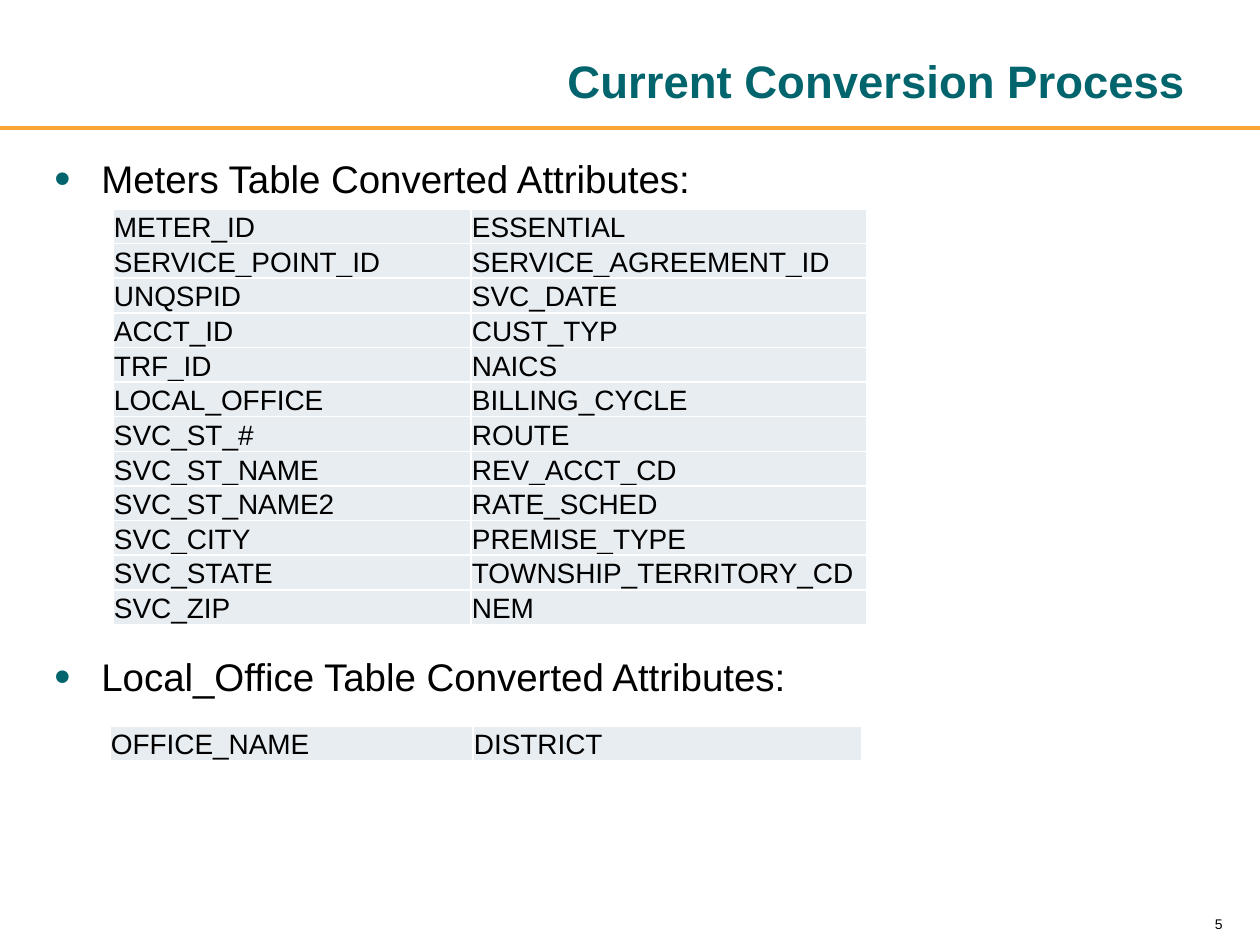
import pptx
import pptx.dml.color
import pptx.enum.shapes
import pptx.enum.text
import pptx.oxml
import pptx.oxml.ns
import pptx.util

PIXEL = 914400 / 126
COLORS = {"teal": "02646C", "orange": "FAA534", "cell": "E7EDF1",
          "white": "FFFFFF", "black": "000000"}
FONT = "Arial"
ANCHOR = pptx.enum.text.MSO_ANCHOR
ALIGN = pptx.enum.text.PP_ALIGN

METER_ATTRIBUTES = [
    ("METER_ID", "ESSENTIAL"),
    ("SERVICE_POINT_ID", "SERVICE_AGREEMENT_ID"),
    ("UNQSPID", "SVC_DATE"),
    ("ACCT_ID", "CUST_TYP"),
    ("TRF_ID", "NAICS"),
    ("LOCAL_OFFICE", "BILLING_CYCLE"),
    ("SVC_ST_#", "ROUTE"),
    ("SVC_ST_NAME", "REV_ACCT_CD"),
    ("SVC_ST_NAME2", "RATE_SCHED"),
    ("SVC_CITY", "PREMISE_TYPE"),
    ("SVC_STATE", "TOWNSHIP_TERRITORY_CD"),
    ("SVC_ZIP", "NEM"),
]
OFFICE_ATTRIBUTES = [("OFFICE_NAME", "DISTRICT")]


def px(length):
    return pptx.util.Emu(round(length * PIXEL))


def rgb(name):
    return pptx.dml.color.RGBColor.from_string(COLORS[name])


def xml(text):
    return pptx.oxml.parse_xml(text.replace(
        " ", f' {pptx.oxml.ns.nsdecls("a")} ', 1))


def add_run(paragraph, text, size, color="black", bold=False):
    run = paragraph.add_run()
    run.text = text
    run.font.name = FONT
    run.font.size = pptx.util.Pt(size)
    run.font.bold = bold
    run.font.color.rgb = rgb(color)


def add_title(slide, left, top, width, height, text):
    title = slide.shapes.title
    title.left, title.top, title.width, title.height = map(
        px, (left, top, width, height))
    frame = title.text_frame
    frame.word_wrap = True
    frame.auto_size = pptx.enum.text.MSO_AUTO_SIZE.NONE
    frame.vertical_anchor = ANCHOR.BOTTOM
    paragraph = frame.paragraphs[0]
    paragraph.alignment = ALIGN.RIGHT
    add_run(paragraph, text, 26, "teal", True)


def add_rule(slide, left, top, width):
    rule = slide.shapes.add_connector(
        pptx.enum.shapes.MSO_CONNECTOR.STRAIGHT,
        px(left), px(top), px(left + width), px(top))
    rule.line.color.rgb = rgb("orange")
    rule.line.width = pptx.util.Pt(2)
    rule._element.spPr.append(xml("<a:effectLst />"))


def add_text_box(slide, left, top, width, height):
    box = slide.shapes.add_textbox(px(left), px(top), px(width), px(height))
    box.text_frame.word_wrap = True
    return box.text_frame


def add_headings(slide, left, top, width, height, headings):
    """Each heading is a text and the space before it in points."""
    frame = add_text_box(slide, left, top, width, height)
    for index, (text, space) in enumerate(headings):
        paragraph = frame.add_paragraph() if index else frame.paragraphs[0]
        paragraph.space_before = pptx.util.Pt(space)
        paragraph.space_after = pptx.util.Pt(6)
        properties = paragraph._p.get_or_add_pPr()
        properties.set("marL", str(px(47)))
        properties.set("indent", str(-px(47)))
        for bullet in (
                f'<a:buClr ><a:srgbClr val="{COLORS["teal"]}"/></a:buClr>',
                '<a:buSzPct val="120000"/>',
                f'<a:buFont typeface="{FONT}"/>',
                '<a:buChar char="•"/>'):
            properties.append(xml(bullet))
        add_run(paragraph, text, 22)


def format_cell(cell, text):
    cell.margin_left = cell.margin_right = cell.margin_top = px(1)
    cell.margin_bottom = 0
    cell.vertical_anchor = ANCHOR.BOTTOM
    cell.fill.solid()
    cell.fill.fore_color.rgb = rgb("cell")
    properties = cell._tc.get_or_add_tcPr()
    for index, side in enumerate("LRTB"):
        properties.insert(index, xml(
            f'<a:ln{side} w="12700"><a:solidFill><a:srgbClr '
            f'val="{COLORS["white"]}"/></a:solidFill></a:ln{side}>'))
    add_run(cell.text_frame.paragraphs[0], text, 16)


def add_attribute_table(slide, left, top, column_widths, row_height, rows):
    table = slide.shapes.add_table(
        len(rows), len(column_widths), px(left), px(top),
        px(sum(column_widths)), px(row_height * len(rows))).table
    table.first_row = table.horz_banding = False
    for column, width in zip(table.columns, column_widths):
        column.width = px(width)
    for row, texts in zip(table.rows, rows):
        row.height = px(row_height)
        for cell, text in zip(row.cells, texts):
            format_cell(cell, text)


def add_page_number(slide, left, top, width, height, number):
    frame = add_text_box(slide, left, top, width, height)
    frame.vertical_anchor = ANCHOR.BOTTOM
    paragraph = frame.paragraphs[0]
    paragraph.alignment = ALIGN.RIGHT
    paragraph.line_spacing = 0.8
    add_run(paragraph, str(number), 8)


def main():
    presentation = pptx.Presentation()
    presentation.slide_width, presentation.slide_height = px(1260), px(945)
    slide = presentation.slides.add_slide(presentation.slide_layouts[5])

    # Header
    add_rule(slide, 0, 128, 1260)
    add_title(slide, 207, 28, 991, 86, "Current Conversion Process")

    # Headings, with room for the first table between them
    add_headings(slide, 42, 149, 1147, 588, [
        ("Meters Table Converted Attributes:", 6),
        ("Local_Office Table Converted Attributes:", 252)])

    # Page number
    add_page_number(slide, 1002, 900, 233, 38, 5)

    # Attribute tables
    add_attribute_table(slide, 113, 209, (358, 396), 32, METER_ATTRIBUTES)
    add_attribute_table(slide, 110, 726, (363, 389), 32, OFFICE_ATTRIBUTES)

    presentation.save("out.pptx")


if __name__ == "__main__":
    main()
